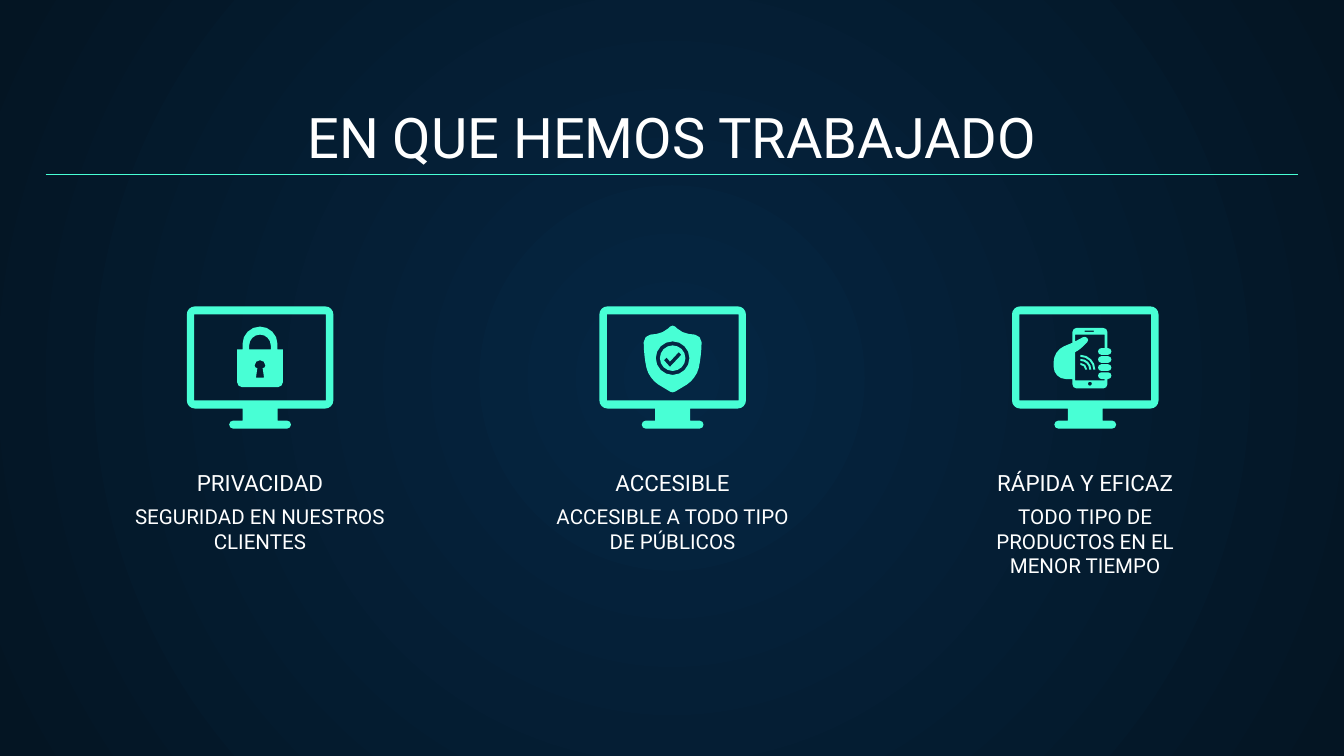
import math
import pptx
import pptx.dml.color
import pptx.enum.dml
import pptx.enum.shapes
import pptx.enum.text
import pptx.oxml
import pptx.oxml.ns
import pptx.util

Pt = pptx.util.Pt
qn = pptx.oxml.ns.qn
MINT, WHITE = "48FFD5", "FFFFFF"


def paint(color_format, hex_color):
    color_format.rgb = pptx.dml.color.RGBColor.from_string(hex_color)


def draw_icon_part(center, contours):
    builder = None
    for contour in contours:
        if isinstance(contour, tuple):
            left, top, right, bottom, radius = contour
            contour = [(left, top, radius), (right, top, radius),
                       (right, bottom, radius), (left, bottom, radius)]
        points = []
        for i, (x, y, radius) in enumerate(contour):
            if radius <= 1:
                points.append((x * 100, y * 100))
                continue
            ends = []
            for nx, ny, _ in (contour[i - 1], contour[(i + 1) % len(contour)]):
                share = radius / math.hypot(nx - x, ny - y)
                ends.append((x + (nx - x) * share, y + (ny - y) * share))
            (ax, ay), (bx, by) = ends
            steps = 4 if radius > 5 else 2
            for step in range(steps + 1):
                t = step / steps
                wa = (1 - t) ** 3 + 1.35 * t * (1 - t) ** 2
                wb = t ** 3 + 1.35 * t ** 2 * (1 - t)
                wc = 1 - wa - wb
                points.append(((wa * ax + wb * bx + wc * x) * 100,
                               (wa * ay + wb * by + wc * y) * 100))
        if builder is None:
            builder = slide.shapes.build_freeform(*points[0], scale=Pt(0.72) / 100)
        else:
            builder.move_to(*points[0])
        builder.add_line_segments(points[1:], close=True)
    part = builder.convert_to_shape(Pt(center), 0)
    part.shadow.inherit = False
    part.fill.solid()
    paint(part.fill.fore_color, MINT)
    part.line.fill.background()


prs = pptx.Presentation()
prs.slide_width, prs.slide_height = Pt(720), Pt(405)
slide = prs.slides.add_slide(prs.slide_layouts[5])

backdrop = slide.background.fill
backdrop.gradient()
for stop, hex_color, position in zip(backdrop.gradient_stops, ("052643", "041523"), (0, 1)):
    paint(stop.color, hex_color)
    stop.position = position
gradient = slide.element.find(".//" + qn("a:gradFill"))
gradient.remove(gradient.find(qn("a:lin")))
gradient.append(pptx.oxml.parse_xml(
    '<a:path xmlns:a="http://schemas.openxmlformats.org/drawingml/2006/main" path="circle">'
    '<a:fillToRect l="50000" t="50000" r="50000" b="50000"/></a:path>'))

centers = [139.32 + 221.04 * i for i in range(3)]
names = ["PRIVACIDAD", "ACCESIBLE", "RÁPIDA Y EFICAZ"]
details = ["SEGURIDAD EN NUESTROS CLIENTES", "ACCESIBLE A TODO TIPO DE PÚBLICOS",
           "TODO TIPO DE PRODUCTOS EN EL MENOR TIEMPO"]
bottom, top = pptx.enum.text.MSO_ANCHOR.BOTTOM, pptx.enum.text.MSO_ANCHOR.TOP
texts = [("EN QUE HEMOS TRABAJADO", 360, 50.4, 671, 47.5, 30, bottom)]
for center, name, detail in zip(centers, names, details):
    texts.append((name, center, 257.8, 163.4, 15.1, 12, bottom))
    texts.append((detail, center, 262.8, 149, 39.6, 11, top))

for i, (words, center, y, width, height, size, anchor) in enumerate(texts):
    holder = slide.shapes.title if i == 0 else slide.shapes.add_textbox(0, 0, 0, 0)
    holder.left, holder.top = Pt(center - width / 2), Pt(y)
    holder.width, holder.height = Pt(width), Pt(height)
    frame = holder.text_frame
    frame.word_wrap = True
    frame.auto_size = pptx.enum.text.MSO_AUTO_SIZE.NONE
    frame.vertical_anchor = anchor
    frame.margin_left = frame.margin_right = Pt(7.2)
    frame.margin_top = frame.margin_bottom = Pt(7.2)
    paragraph = frame.paragraphs[0]
    paragraph.text = words
    paragraph.alignment = pptx.enum.text.PP_ALIGN.CENTER
    paragraph.font.name = "Roboto"
    paragraph.font.size = Pt(size)
    paint(paragraph.font.color, WHITE)

monitor = [
    [(-54.5, 228, 6), (54.5, 228, 6), (54.5, 304, 6), (13, 304, 0), (13, 313, 0),
     (23, 313, 3), (23, 319, 3), (-23, 319, 3), (-23, 313, 3), (-13, 313, 0),
     (-13, 304, 0), (-54.5, 304, 6)],
    (-49, 234, 49, 298, 0),
]
padlock = [
    [(-17, 260, 1), (-13, 260, 0), (-13, 243, 13), (13, 243, 13), (13, 260, 0),
     (17, 260, 1), (17, 288, 3.5), (-17, 288, 3.5)],
    [(-8, 260, 0), (-8, 249, 8), (8, 249, 8), (8, 260, 0)],
    [(-4, 268, 4), (4, 268, 4), (4, 274, 2), (2, 274, 0), (3, 281, 0),
     (-3, 281, 0), (-2, 274, 0), (-4, 274, 2)],
]
shield = [
    [(0, 241, 3), (7, 248, 5), (21.5, 249.5, 5), (21.5, 265, 9), (17.5, 282, 8),
     (0, 292.5, 2), (-17.5, 282, 8), (-21.5, 265, 9), (-21.5, 249.5, 5), (-7, 248, 5)],
    (-12.5, 254, 12.5, 279, 12.5),
]
check_badge = [
    (-9.5, 257, 9.5, 276, 9.5),
    [(-6.5, 268, 0), (-4.5, 266, 0), (-2, 269, 0), (4.5, 262, 0), (6.5, 264, 0),
     (-2, 273, 0)],
]
phone_in_hand = [
    [(-9.5, 244, 3), (16.5, 244, 3), (16.5, 259, 0), (19.5, 259, 2.5), (19.5, 264, 2.5),
     (9.5, 264, 2.5), (9.5, 259, 2.5), (14.5, 259, 0), (14.5, 249, 0), (-7.5, 249, 0),
     (-7.5, 254, 0), (0, 250, 2), (3, 253, 2), (-4, 260, 2), (-7.5, 262, 0),
     (-7.5, 283, 0), (14.5, 283, 0), (14.5, 282, 0), (9.5, 282, 2.5), (9.5, 277, 2.5),
     (19.5, 277, 2.5), (19.5, 282, 2.5), (16.5, 282, 0), (16.5, 289, 3), (-9.5, 289, 3),
     (-9.5, 282, 0), (-23.5, 282, 9), (-23.5, 261, 8), (-9.5, 255, 0)],
    (9.5, 265, 19.5, 270, 2.5),
    (9.5, 271, 19.5, 276, 2.5),
    (-0.5, 246, 6.5, 247, 0),
    (2, 284, 5, 287, 1.5),
]
for reach in (11, 8, 5):
    inner = reach - 1.5
    phone_in_hand.append([
        (-3.5, 275 - reach, 0), (-3.5 + reach, 275 - reach, reach), (-3.5 + reach, 275, 0),
        (-3.5 + inner, 275, 0), (-3.5 + inner, 275 - inner, inner), (-3.5, 275 - inner, 0)])

for center, symbols in zip(centers, ([padlock], [check_badge, shield], [phone_in_hand])):
    for contours in [monitor] + symbols:
        draw_icon_part(center, contours)

title_rule = slide.shapes.add_connector(
    pptx.enum.shapes.MSO_CONNECTOR.STRAIGHT, Pt(24.5), Pt(93.6), Pt(695.5), Pt(93.6))
title_rule.line.width = Pt(0.75)
paint(title_rule.line.color, MINT)
title_rule.element.spPr.append(pptx.oxml.parse_xml(
    '<a:effectLst xmlns:a="http://schemas.openxmlformats.org/drawingml/2006/main"/>'))

prs.save("out.pptx")
